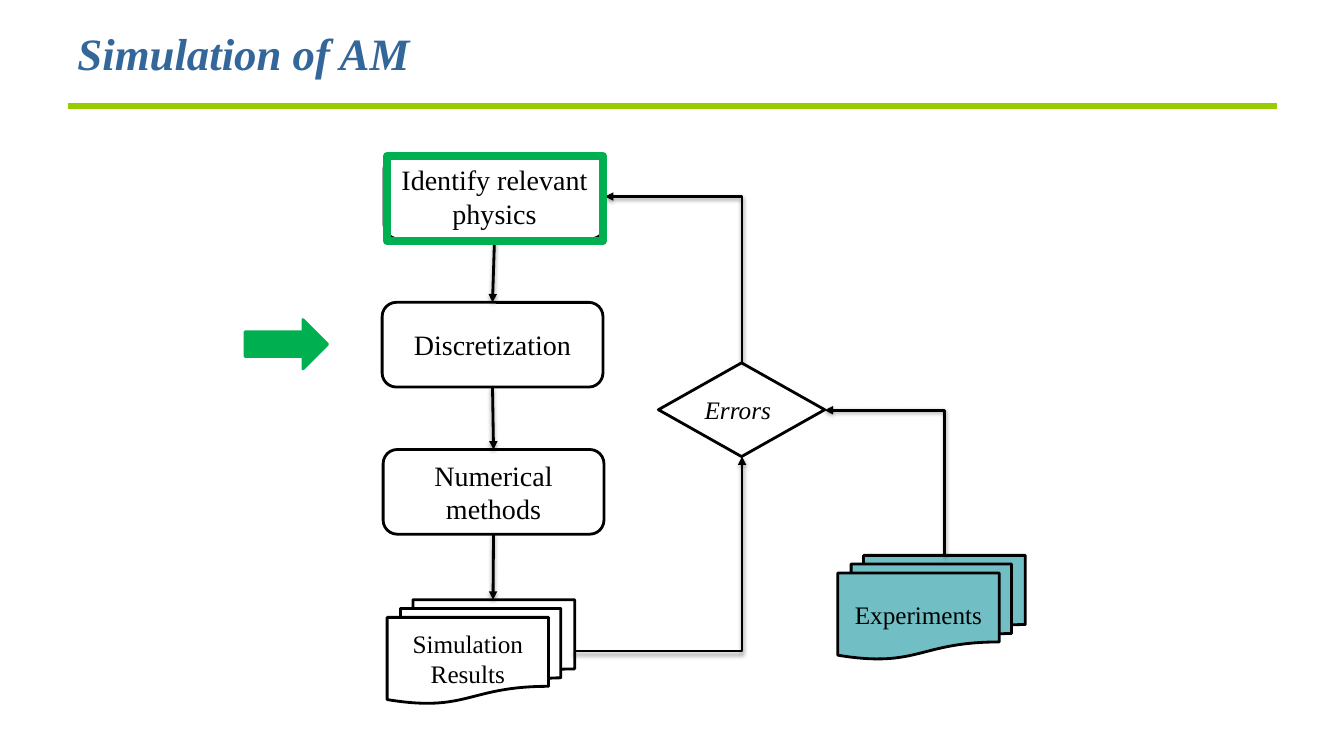
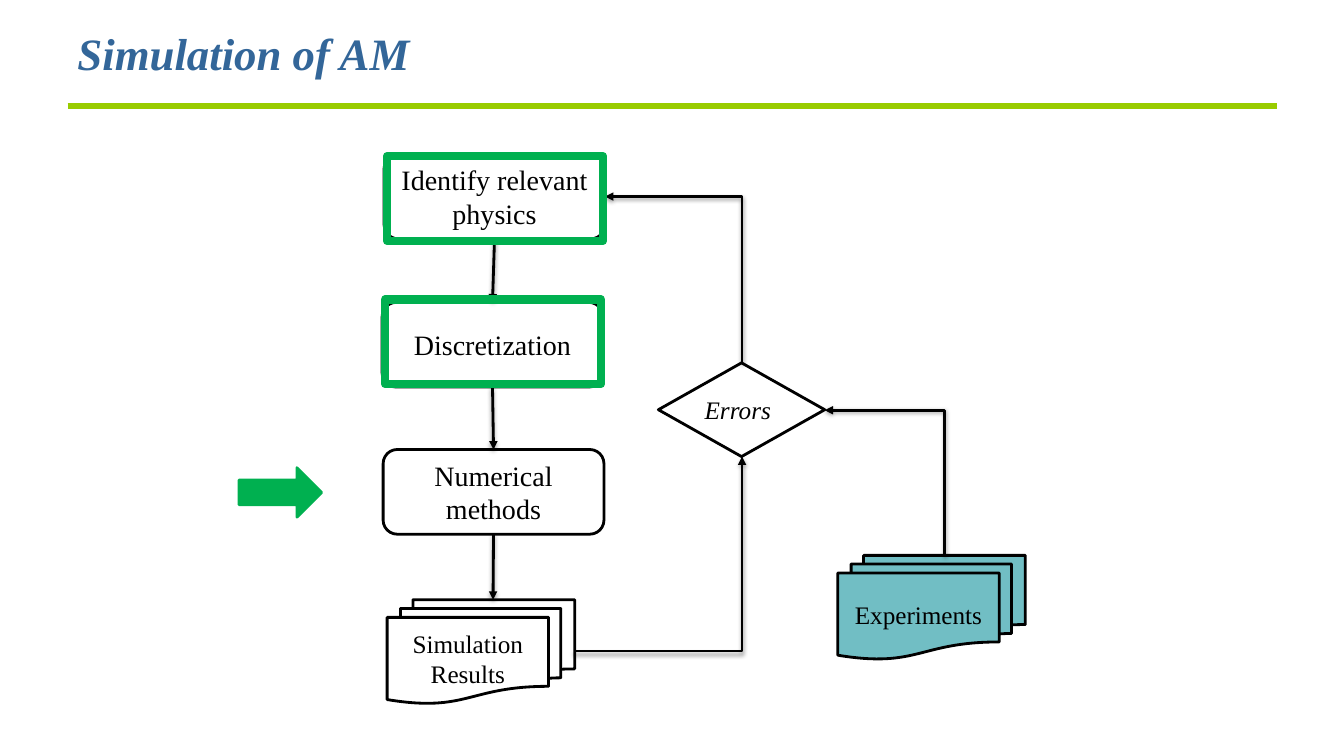
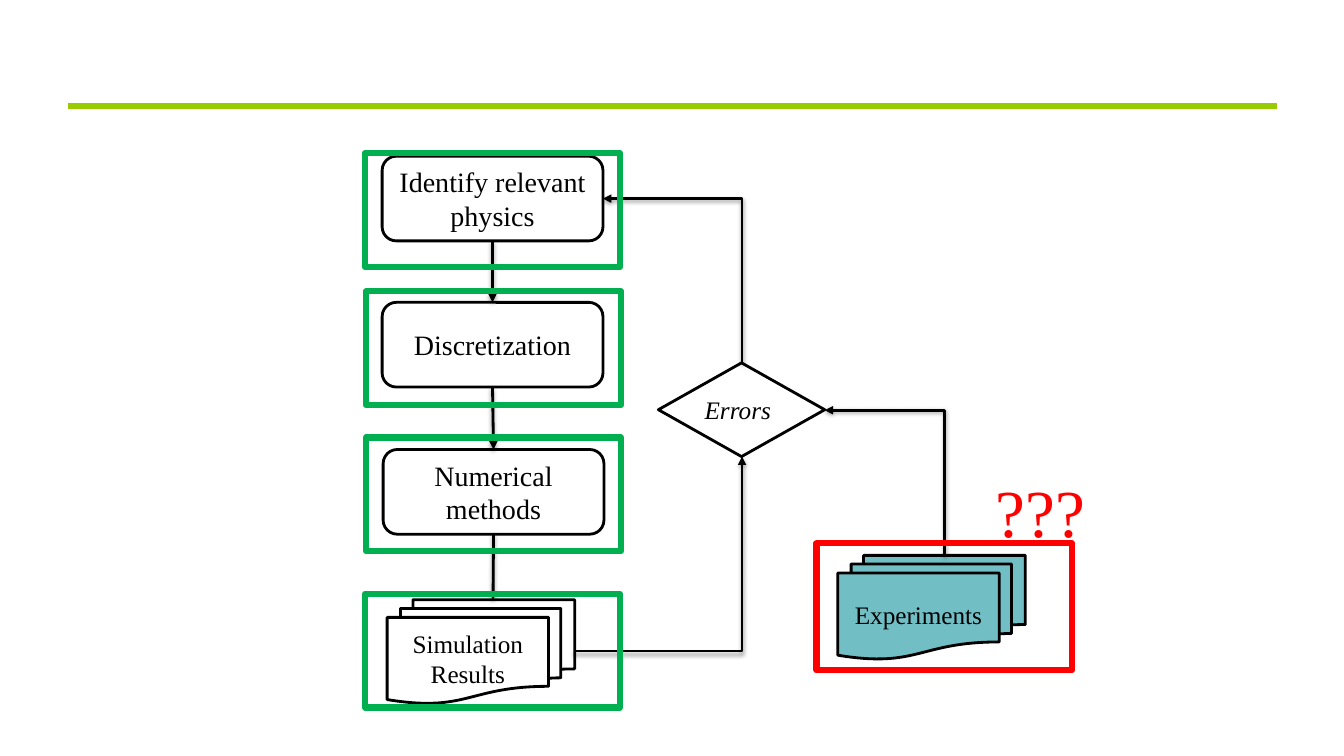
import pptx
import pptx.dml.color
import pptx.enum.shapes
import pptx.enum.text
import pptx.oxml
import pptx.oxml.ns
import pptx.util

PX = 9144  # 100 px to the inch
SHAPE = pptx.enum.shapes.MSO_SHAPE
CONNECTOR = pptx.enum.shapes.MSO_CONNECTOR
ALIGN = pptx.enum.text.PP_ALIGN
ANCHOR = pptx.enum.text.MSO_ANCHOR

BLACK, GREEN, RED = "000000", "00B050", "FF0000"
TITLE_BLUE, RULE_LIME, TEAL = "336699", "99CC00", "71BEC4"

TITLE_FONT = {"size": 32, "color": TITLE_BLUE, "bold": True, "italic": True}
STEP_FONT = {"size": 20}
DOCUMENT_FONT = {"size": 18}
ERRORS_FONT = {"size": 18, "italic": True}
DOUBT_FONT = {"size": 48, "color": RED}

STEP_SIZE = (219, 84)
DOCUMENT_SIZE = (186, 103)
SHADOW = (
    '<a:effectLst %s><a:outerShdw blurRad="39370" dist="20320" dir="5400000" rotWithShape="0">'
    '<a:srgbClr val="000000"><a:alpha val="38000"/></a:srgbClr></a:outerShdw></a:effectLst>'
    % pptx.oxml.ns.nsdecls("a")
)
NO_EFFECT = "<a:effectLst %s/>" % pptx.oxml.ns.nsdecls("a")
ARROWHEAD = '<a:tailEnd %s type="triangle"/>' % pptx.oxml.ns.nsdecls("a")


def px(*lengths):
    return [pptx.util.Emu(round(length * PX)) for length in lengths]


def rgb(color):
    return pptx.dml.color.RGBColor.from_string(color)


def set_line(line, color, width):
    line.color.rgb = rgb(color)
    line.width = pptx.util.Pt(width)


def write(frame, text, style, align=ALIGN.LEFT, anchor=ANCHOR.TOP):
    frame.word_wrap = True
    frame.vertical_anchor = anchor
    paragraph = frame.paragraphs[0]
    paragraph.alignment = align
    run = paragraph.add_run()
    run.text = text
    values = {"name": "Times New Roman", "color": BLACK, **style}
    run.font.color.rgb = rgb(values.pop("color"))
    values["size"] = pptx.util.Pt(values["size"])
    for name, value in values.items():
        setattr(run.font, name, value)


def add_label(slide, box, text, style, anchor=ANCHOR.TOP):
    write(slide.shapes.add_textbox(*px(*box)).text_frame, text, style, anchor=anchor)


def add_node(slide, kind, box, text="", style=None, fill=None, line=BLACK, width=2):
    node = slide.shapes.add_shape(kind, *px(*box))
    node.shadow.inherit = False
    if fill:
        node.fill.solid()
        node.fill.fore_color.rgb = rgb(fill)
    else:
        node.fill.background()
    set_line(node.line, line, width)
    if text:
        write(node.text_frame, text, style, ALIGN.CENTER, ANCHOR.MIDDLE)
    return node


def add_line(slide, kind, start, end, color=BLACK, width=2, effect=NO_EFFECT):
    connector = slide.shapes.add_connector(kind, *px(*start, *end))
    set_line(connector.line, color, width)
    connector._element.spPr.append(pptx.oxml.parse_xml(effect))
    return connector


def add_arrow(slide, kind, start, end):
    arrow = add_line(slide, kind, start, end, effect=SHADOW)
    arrow.line._get_or_add_ln().append(pptx.oxml.parse_xml(ARROWHEAD))
    return arrow


def add_corner_arrow(slide, start, end, vertical_first=False):
    """Arrow with one bend; a vertical first leg must run up and then left."""
    if vertical_first:
        middle_x, middle_y = (start[0] + end[0]) / 2, (start[1] + end[1]) / 2
        half_rise, half_run = (start[1] - end[1]) / 2, (start[0] - end[0]) / 2
        start = (middle_x + half_rise, middle_y - half_run)
        end = (middle_x - half_rise, middle_y + half_run)
    arrow = add_arrow(slide, CONNECTOR.ELBOW, start, end)
    properties = arrow._element.spPr
    properties.find(pptx.oxml.ns.qn("a:prstGeom")).set("prst", "bentConnector2")
    if vertical_first:
        properties.find(pptx.oxml.ns.qn("a:xfrm")).set("rot", "5400000")


def add_frame(slide, box, color=GREEN, width=4.5):
    add_node(slide, SHAPE.RECTANGLE, box, line=color, width=width)


def add_pointer(slide, left, top):
    add_node(slide, SHAPE.RIGHT_ARROW, (left, top, 82, 49), fill=GREEN, line=GREEN)


def add_base(presentation, title=None):
    slide = presentation.slides.add_slide(presentation.slide_layouts[6])
    add_line(slide, CONNECTOR.STRAIGHT, (67, 105), (1267, 105), RULE_LIME, 4)
    if title:
        add_label(slide, (67, 25, 1200, 55), title, TITLE_FONT, ANCHOR.MIDDLE)
    return slide


def add_flow(slide, physics_left, physics_top):
    """Simulation loop; only the place of its first step varies."""
    steps = [
        add_node(slide, SHAPE.ROUNDED_RECTANGLE, (left, top, *STEP_SIZE), text, STEP_FONT)
        for left, top, text in (
            (physics_left, physics_top, "Identify relevant physics"),
            (379, 300, "Discretization"),
            (380, 446, "Numerical methods"),
        )
    ]
    for upper, lower in zip(steps, steps[1:]):
        arrow = add_arrow(slide, CONNECTOR.STRAIGHT, (489, 383), (489, 446))
        arrow.begin_connect(upper, 2)
        arrow.end_connect(lower, 0)

    for left, top, text, fill in (
        (384, 595, "Simulation Results", None),
        (831, 551, "Experiments", TEAL),
    ):
        box = (left, top, *DOCUMENT_SIZE)
        add_node(slide, SHAPE.FLOWCHART_MULTIDOCUMENT, box, text, DOCUMENT_FONT, fill)
    to_results = add_arrow(slide, CONNECTOR.STRAIGHT, (489, 530), (489, 595))
    to_results.begin_connect(steps[-1], 2)

    add_node(slide, SHAPE.FLOWCHART_DECISION, (653, 360, 165, 93))
    add_corner_arrow(slide, (569, 646), (736, 453))
    add_corner_arrow(slide, (937, 551), (818, 407), vertical_first=True)
    physics_side = (physics_left + STEP_SIZE[0], physics_top + STEP_SIZE[1] / 2)
    add_corner_arrow(slide, (736, 360), physics_side, vertical_first=True)
    add_label(slide, (689, 386, 89, 40), "Errors", ERRORS_FONT)


def add_progress_slide(presentation, pointer, done):
    slide = add_base(presentation, "Simulation of AM")
    add_flow(slide, 381, 153)
    add_pointer(slide, *pointer)
    for left, top in done:
        add_frame(slide, (left, top, 214, 84), width=6)


def add_review_slide(presentation):
    slide = add_base(presentation)
    add_flow(slide, 379, 155)
    for left, top in ((363, 434), (363, 289), (362, 152), (362, 589)):
        add_frame(slide, (left, top, 253, 113))
    add_frame(slide, (810, 539, 253, 126), RED)
    add_label(slide, (978, 462, 110, 91), "???", DOUBT_FONT)


def main():
    presentation = pptx.Presentation()
    presentation.slide_width, presentation.slide_height = px(1333, 750)
    physics_done, discretization_done = (384, 155), (382, 297)
    add_progress_slide(presentation, (243, 317), [physics_done])
    add_progress_slide(presentation, (237, 464), [physics_done, discretization_done])
    add_review_slide(presentation)
    presentation.save("out.pptx")


if __name__ == "__main__":
    main()
